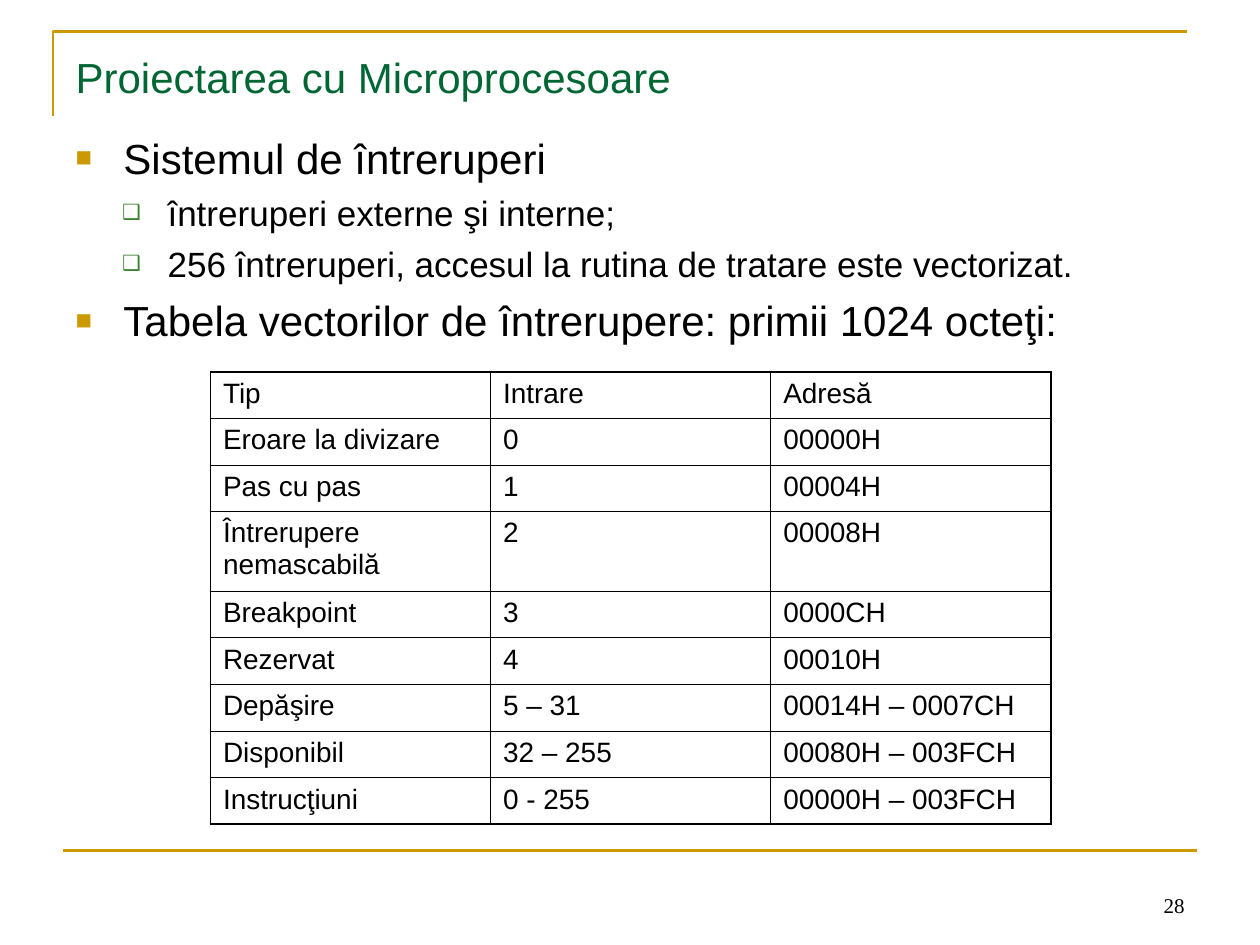
from lxml import etree
from pptx import Presentation
from pptx import util as u
from pptx.dml.color import RGBColor
from pptx.enum import shapes, text
from pptx.oxml import ns

GOLD, GREEN, BLACK = "CC9900", "006633", "000000"
LEVELS = [
    dict(size=24, left=0.38, hang=0.38, gap=6, mark="■", tint=GOLD, scale=65),
    dict(size=20, left=0.73, hang=0.36, gap=5, mark="❑", tint="3B812F", scale=60),
]
POINTS = [
    (0, "Sistemul de întreruperi"),
    (1, "întreruperi externe şi interne;"),
    (1, "256 întreruperi, accesul la rutina de tratare este vectorizat."),
    (0, "Tabela vectorilor de întrerupere: primii 1024 octeţi:"),
]
ROWS = [
    ("Tip", "Intrare", "Adresă"),
    ("Eroare la divizare", "0", "00000H"),
    ("Pas cu pas", "1", "00004H"),
    ("Întrerupere nemascabilă", "2", "00008H"),
    ("Breakpoint", "3", "0000CH"),
    ("Rezervat", "4", "00010H"),
    ("Depăşire", "5 – 31", "00014H – 0007CH"),
    ("Disponibil", "32 – 255", "00080H – 003FCH"),
    ("Instrucţiuni", "0 - 255", "00000H – 003FCH"),
]


def paint(color, tint):
    """Set a colour from a hex string."""
    color.rgb = RGBColor.from_string(tint)


def style(para, size, tint=BLACK, name="Arial"):
    """Set the font of a paragraph."""
    para.font.size, para.font.name = u.Pt(size), name
    paint(para.font.color, tint)


def place(shape, left, top, width, height):
    """Move and size a shape."""
    shape.left, shape.top = u.Inches(left), u.Inches(top)
    shape.width, shape.height = u.Inches(width), u.Inches(height)


def node(parent, tag, **attrs):
    """Append a drawing element."""
    return etree.SubElement(parent, ns.qn("a:" + tag), attrs)


def stroke(shape):
    """Give a rule its gold line."""
    paint(shape.line.color, GOLD)
    shape.line.width = u.Pt(1.5)


def add_rules(slide):
    """Draw the corner rule and the bottom rule."""
    pen = slide.shapes.build_freeform(u.Inches(0.42), u.Inches(0.92))
    pen.add_line_segments([(u.Inches(x), u.Inches(0.25)) for x in (0.42, 9.42)], close=False)
    corner = pen.convert_to_shape()
    corner.fill.background()
    corner.shadow.inherit = False
    stroke(corner)
    base = slide.shapes.add_connector(
        shapes.MSO_CONNECTOR.STRAIGHT,
        u.Inches(0.5), u.Inches(6.75), u.Inches(9.5), u.Inches(6.75))
    stroke(base)
    node(base._element.spPr, "effectLst")


def add_title(slide, words):
    """Fill the title placeholder."""
    title = slide.shapes.title
    place(title, 0.5, 0.3, 9, 0.61)
    title.text_frame.text = words
    para = title.text_frame.paragraphs[0]
    para.alignment = text.PP_ALIGN.LEFT
    style(para, 24, GREEN)


def add_list(slide):
    """Fill the body placeholder with bulleted points."""
    body = slide.placeholders[1]
    place(body, 0.5, 1, 9, 5.7)
    frame = body.text_frame
    frame.text = "\n".join(words for _, words in POINTS)
    for i, (para, (depth, _)) in enumerate(zip(frame.paragraphs, POINTS)):
        look = LEVELS[depth]
        para.level = depth
        props = para._p.get_or_add_pPr()
        props.set("marL", str(u.Inches(look["left"])))
        props.set("indent", str(-u.Inches(look["hang"])))
        node(node(props, "buClr"), "srgbClr", val=look["tint"])
        node(props, "buSzPct", val=str(look["scale"] * 1000))
        node(props, "buFont", typeface="Arial")
        node(props, "buChar", char=look["mark"])
        para.space_before = u.Pt(look["gap"] if i else 0)
        style(para, look["size"])


def edge(cell, side, width):
    """Draw one border of a cell."""
    line = node(cell._tc.get_or_add_tcPr(), side, w=str(u.Pt(width)))
    node(node(line, "solidFill"), "srgbClr", val=BLACK)


def add_grid(slide):
    """Draw the vector table with a heavier outline."""
    rows, cols = len(ROWS), len(ROWS[0])
    grid = slide.shapes.add_table(
        rows, cols, u.Inches(1.67), u.Inches(2.95), u.Inches(6.67), u.Inches(3.57)).table
    grid.first_row = grid.horz_banding = False
    for r, row in enumerate(ROWS):
        grid.rows[r].height = u.Inches(0.63 if r == 3 else 0.37)
        for c, words in enumerate(row):
            cell = grid.cell(r, c)
            cell.text = words
            style(cell.text_frame.paragraphs[0], 16)
            outer = {"lnL": c == 0, "lnR": c == cols - 1, "lnT": r == 0, "lnB": r == rows - 1}
            for side, heavy in outer.items():
                edge(cell, side, 1.08 if heavy else 0.45)
            cell.fill.background()


def add_number(slide, words):
    """Write the page number."""
    box = slide.shapes.add_textbox(*map(u.Inches, (7.17, 6.83, 2.33, 0.5)))
    frame = box.text_frame
    frame.word_wrap = True
    frame.vertical_anchor = text.MSO_ANCHOR.BOTTOM
    frame.text = words
    para = frame.paragraphs[0]
    para.alignment = text.PP_ALIGN.RIGHT
    style(para, 12, name="Times New Roman")


def main():
    """Build the slide and save it."""
    deck = Presentation()
    deck.slide_width, deck.slide_height = u.Inches(10), u.Inches(7.5)
    slide = deck.slides.add_slide(deck.slide_layouts[1])
    add_rules(slide)
    add_number(slide, "28")
    add_title(slide, "Proiectarea cu Microprocesoare")
    add_list(slide)
    add_grid(slide)
    deck.save("out.pptx")


if __name__ == "__main__":
    main()
